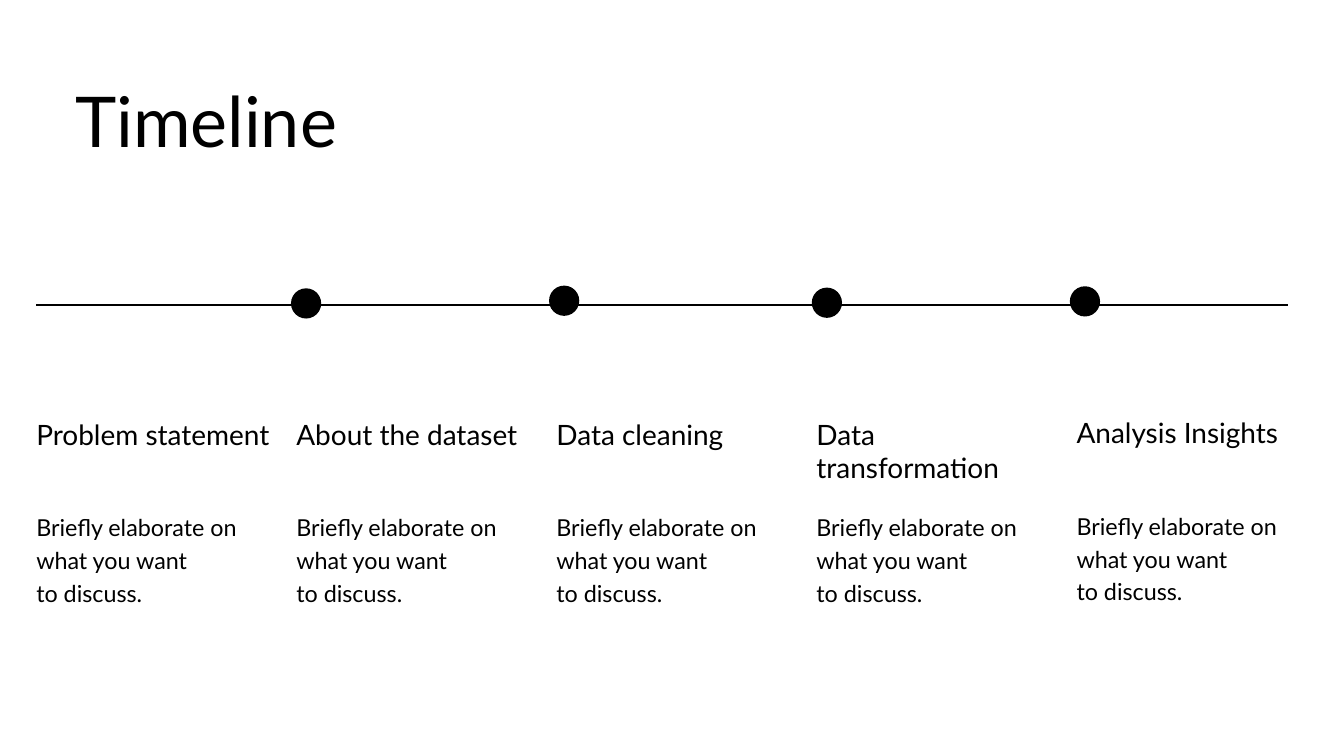
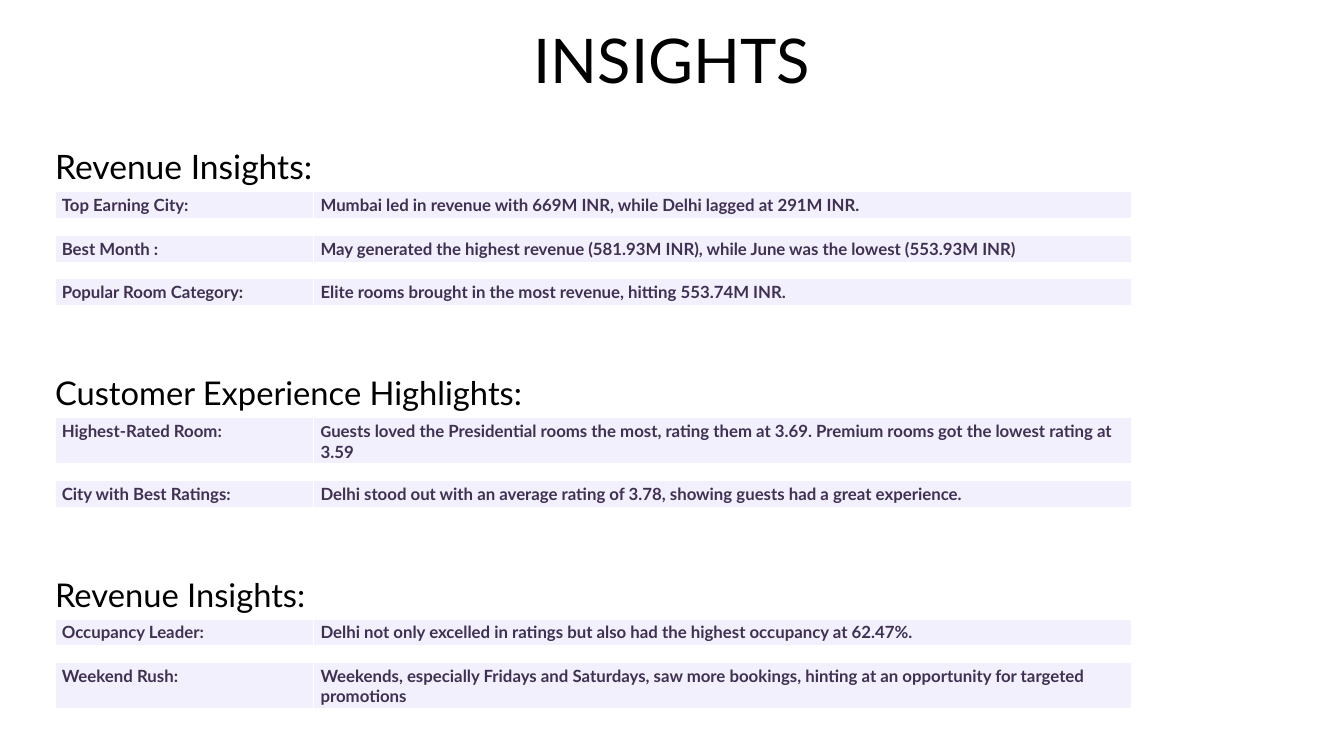
from lxml.etree import SubElement
from pptx import Presentation
from pptx.dml.color import RGBColor
from pptx.enum.shapes import MSO_CONNECTOR, MSO_SHAPE
from pptx.enum.text import MSO_ANCHOR, MSO_AUTO_SIZE, PP_ALIGN
from pptx.oxml.ns import qn
from pptx.util import Inches, Pt

FONT = "Lato"
BLACK, WHITE = "000000", "FFFFFF"
ROW_FILL, ROW_TEXT = "F3F0FE", "403152"
TITLE_LEADING = 97.5
LABEL_WIDTH, FINDING_WIDTH = 3.85, 12.16
ONE_LINE, TWO_LINES, ROW_GAP = 0.41, 0.7, 0.24

MILESTONES = [  # name, height of its box, top of the column
    ("Problem statement", 1, 6.21),
    ("About the dataset", 1, 6.21),
    ("Data cleaning", 0.5, 6.21),
    ("Data transformation", 1, 6.21),
    ("Analysis Insights", 0.5, 6.19),
]
DOTS = [(4.33, 4.29), (8.17, 4.25), (12.08, 4.28), (15.92, 4.26)]

SECTIONS = [  # heading, size, heading width, top, rows
    ("Revenue Insights:", 36, 6.04, 1.42, [
        ("Top Earning City:",
         "Mumbai led in revenue with 669M INR, while Delhi lagged at 291M INR.", ONE_LINE),
        ("Best Month :",
         "May generated the highest revenue (581.93M INR), "
         "while June was the lowest (553.93M INR)", ONE_LINE),
        ("Popular Room Category:",
         "Elite rooms brought in the most revenue, hitting 553.74M INR.", ONE_LINE),
    ]),
    ("Customer Experience Highlights:", 35, 8.5, 4.78, [
        ("Highest-Rated Room:",
         [("G", "Calibri"),
          ("uests loved the Presidential rooms the most, rating them at 3.69. "
           "Premium rooms got the lowest rating at 3.59", FONT)], TWO_LINES),
        ("City with Best Ratings:",
         "Delhi stood out with an average rating of 3.78, "
         "showing guests had a great experience.", ONE_LINE),
    ]),
    ("Revenue Insights:", 35, 6.04, 7.78, [
        ("Occupancy Leader:",
         "Delhi not only excelled in ratings but also had the highest occupancy at 62.47%.",
         ONE_LINE),
        ("Weekend Rush:",
         "Weekends, especially Fridays and Saturdays, saw more bookings, "
         "hinting at an opportunity for targeted promotions", TWO_LINES),
    ]),
]


def paint(color_format, color):
    color_format.rgb = RGBColor.from_string(color)


def write(frame, *lines, size, color=BLACK, bold=False, leading=None, align=PP_ALIGN.LEFT):
    """Fill a text frame; a line is a string or a list of (text, font) runs."""
    for number, line in enumerate(lines):
        paragraph = frame.add_paragraph() if number else frame.paragraphs[0]
        paragraph.alignment = align
        if leading:
            paragraph.line_spacing = Pt(leading)
        for text, font in [(line, FONT)] if isinstance(line, str) else line:
            run = paragraph.add_run()
            run.text = text
            run.font.name, run.font.size, run.font.bold = font, Pt(size), bold
            paint(run.font.color, color)


def fit_text(shape, *lines, **style):
    """Write into a box without insets that grows with its text."""
    frame = shape.text_frame
    frame.margin_left = frame.margin_top = frame.margin_right = frame.margin_bottom = 0
    frame.vertical_anchor = MSO_ANCHOR.TOP
    frame.word_wrap = True
    frame.auto_size = MSO_AUTO_SIZE.SHAPE_TO_FIT_TEXT
    write(frame, *lines, **style)


def add_text(slide, box, *lines, **style):
    fit_text(slide.shapes.add_textbox(*map(Inches, box)), *lines, **style)


def add_titled_slide(deck, title, box, **style):
    slide = deck.slides.add_slide(deck.slide_layouts[5])
    heading = slide.shapes.title
    heading.left, heading.top, heading.width, heading.height = map(Inches, box)
    fit_text(heading, title, leading=TITLE_LEADING, **style)
    return slide


def add_axis(slide, left, right, y):
    axis = slide.shapes.add_connector(
        MSO_CONNECTOR.STRAIGHT, Inches(left), Inches(y), Inches(right), Inches(y))
    paint(axis.line.color, BLACK)
    axis.line.width = Pt(1.5)
    SubElement(axis.element.spPr, qn("a:effectLst"))


def add_dot(slide, left, top, diameter=0.45):
    dot = slide.shapes.add_shape(
        MSO_SHAPE.OVAL, *map(Inches, (left, top, diameter, diameter)))
    dot.shadow.inherit = False
    dot.fill.solid()
    paint(dot.fill.fore_color, BLACK)
    dot.line.fill.background()


def add_milestone(slide, left, top, name, name_height, width=3.57):
    add_text(slide, (left, top, width, name_height), name, size=30, leading=36)
    add_text(slide, (left, top + 1.36, width, 1.44),
             "Briefly elaborate on what you want", "to discuss.", size=25, leading=35)


def set_borders(cell):
    properties = cell._tc.get_or_add_tcPr()
    for side, points in (("L", 1), ("R", 1), ("T", 1), ("B", 3)):
        line = SubElement(properties, qn(f"a:ln{side}"), w=str(Pt(points)))
        SubElement(SubElement(line, qn("a:solidFill")), qn("a:srgbClr"), val=WHITE)


def add_finding(slide, left, top, height, *texts):
    """One-row table: a label and its finding."""
    holder = slide.shapes.add_table(
        1, 2, *map(Inches, (left, top, LABEL_WIDTH + FINDING_WIDTH, height)))
    table = holder.table
    table.first_row = table.horz_banding = False
    table.rows[0].height = Inches(ONE_LINE)
    holder.height = Inches(height)
    for column, width in zip(table.columns, (LABEL_WIDTH, FINDING_WIDTH)):
        column.width = Inches(width)
    for cell, text in zip(table.rows[0].cells, texts):
        set_borders(cell)
        cell.fill.solid()
        paint(cell.fill.fore_color, ROW_FILL)
        write(cell.text_frame, text, size=18, color=ROW_TEXT, bold=True)


def add_section(slide, left, top, heading, size, width, findings):
    add_text(slide, (left, top, width, 1.19), heading, size=size, leading=TITLE_LEADING)
    row_top = top + 1.43
    for label, finding, height in findings:
        add_finding(slide, left, row_top, height, label, finding)
        row_top += height + ROW_GAP


def build_timeline(deck):
    slide = add_titled_slide(deck, "Timeline", (1.12, 1.05, 12.26, 1.32), size=75)
    add_axis(slide, 0.54, 19.17, 4.54)
    for left, top in DOTS:
        add_dot(slide, left, top)
    for number, (name, height, top) in enumerate(MILESTONES):
        add_milestone(slide, 0.54 + 3.87 * number, top, name, height)


def build_insights(deck):
    slide = add_titled_slide(deck, "INSIGHTS", (5.16, 0.07, 9.68, 1.35),
                             size=66, align=PP_ALIGN.CENTER)
    for heading, size, width, top, findings in SECTIONS:
        add_section(slide, 0.82, top, heading, size, width, findings)


def main():
    deck = Presentation()
    deck.slide_width, deck.slide_height = Inches(20), Inches(11.25)
    build_timeline(deck)
    build_insights(deck)
    deck.save("out.pptx")


if __name__ == "__main__":
    main()
